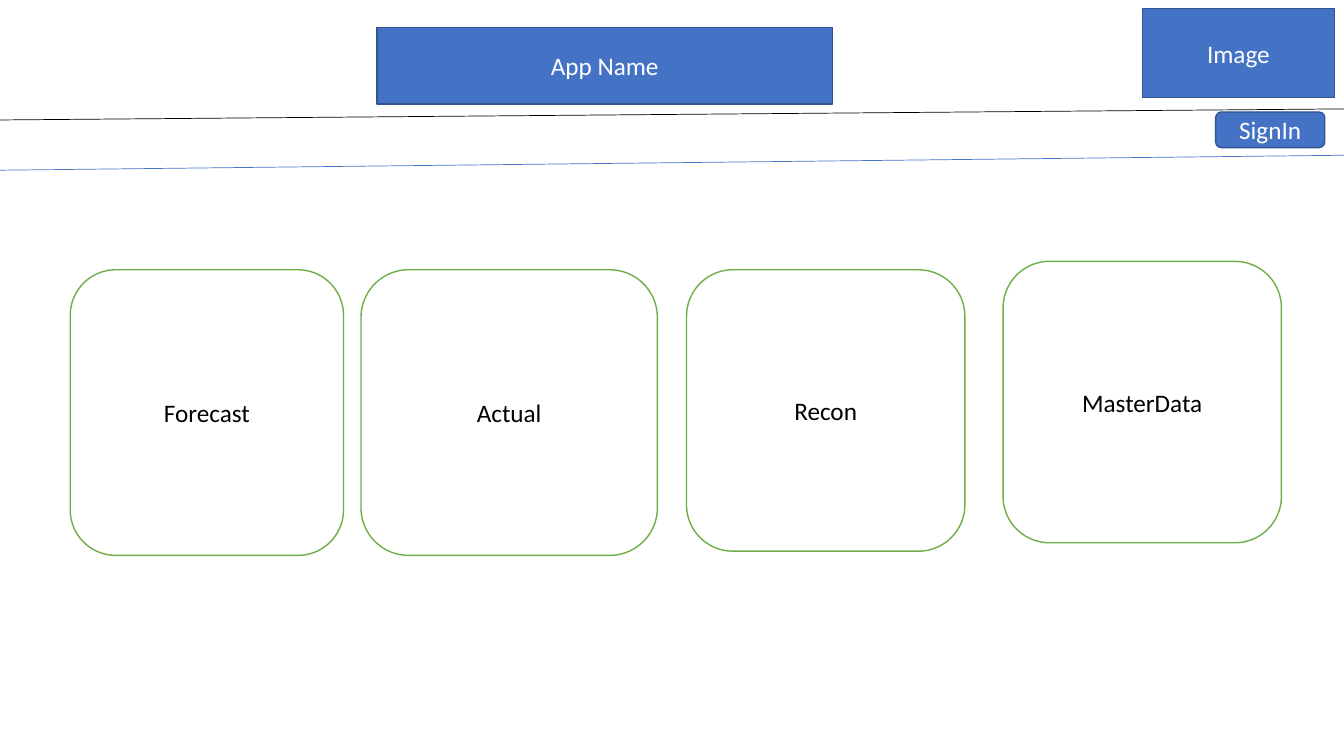
import pptx
import pptx.util
import pptx.dml.color
import pptx.enum.shapes
import pptx.enum.text
import pptx.oxml.ns
import lxml.etree

Pt = pptx.util.Pt
RGB = pptx.dml.color.RGBColor.from_string
SHAPE = pptx.enum.shapes.MSO_SHAPE

THEME = {
    "font": {"name": "Calibri", "size": Pt(18)},
    "rule_width": 0.5,
    "outline_width": 1,
    "black": "000000",
    "blue": "4472C4",
    "solid": {"fill": "4472C4", "line": "325491", "text": "FFFFFF"},
    "card": {"fill": "FFFFFF", "line": "70AD47", "text": "000000"},
}

prs = pptx.Presentation()
prs.slide_width, prs.slide_height = Pt(960), Pt(540)
s = prs.slides.add_slide(prs.slide_layouts[6])


def add_box(kind, text, style, left, top, width, height):
    sp = s.shapes.add_shape(kind, Pt(left), Pt(top), Pt(width), Pt(height))
    sp.shadow.inherit = False
    sp.fill.solid()
    sp.fill.fore_color.rgb = RGB(style["fill"])
    sp.line.color.rgb = RGB(style["line"])
    sp.line.width = Pt(THEME["outline_width"])
    tf = sp.text_frame
    tf.word_wrap = True
    tf.vertical_anchor = pptx.enum.text.MSO_ANCHOR.MIDDLE
    p = tf.paragraphs[0]
    p.alignment = pptx.enum.text.PP_ALIGN.CENTER
    r = p.add_run()
    r.text = text
    for attr, value in THEME["font"].items():
        setattr(r.font, attr, value)
    r.font.color.rgb = RGB(style["text"])


# Rules below the header, across the full width
for color, y_left, y_right in [("black", 85.7, 77.8), ("blue", 121.6, 110.9)]:
    rule = s.shapes.add_connector(
        pptx.enum.shapes.MSO_CONNECTOR.STRAIGHT, 0, Pt(y_left), prs.slide_width, Pt(y_right))
    rule.line.color.rgb = RGB(THEME[color])
    rule.line.width = Pt(THEME["rule_width"])
    lxml.etree.SubElement(rule.element.spPr, pptx.oxml.ns.qn("a:effectLst"))

# Header boxes and sign-in button
for kind, text, *place in [
    (SHAPE.RECTANGLE, "Image", 815.9, 6, 137.4, 63.9),
    (SHAPE.RECTANGLE, "App Name", 269.2, 19.5, 325.5, 54.8),
    (SHAPE.ROUNDED_RECTANGLE, "SignIn", 868.3, 80, 78, 25.5),
]:
    add_box(kind, text, THEME["solid"], *place)

# Section cards
for text, *place in [
    ("Forecast", 50.2, 192.7, 195.2, 204),
    ("Recon", 490.4, 192.7, 198.8, 201),
    ("Actual", 257.9, 192.7, 211.7, 204),
    ("MasterData", 716.5, 186.7, 198.8, 201),
]:
    add_box(SHAPE.ROUNDED_RECTANGLE, text, THEME["card"], *place)

prs.save("out.pptx")
